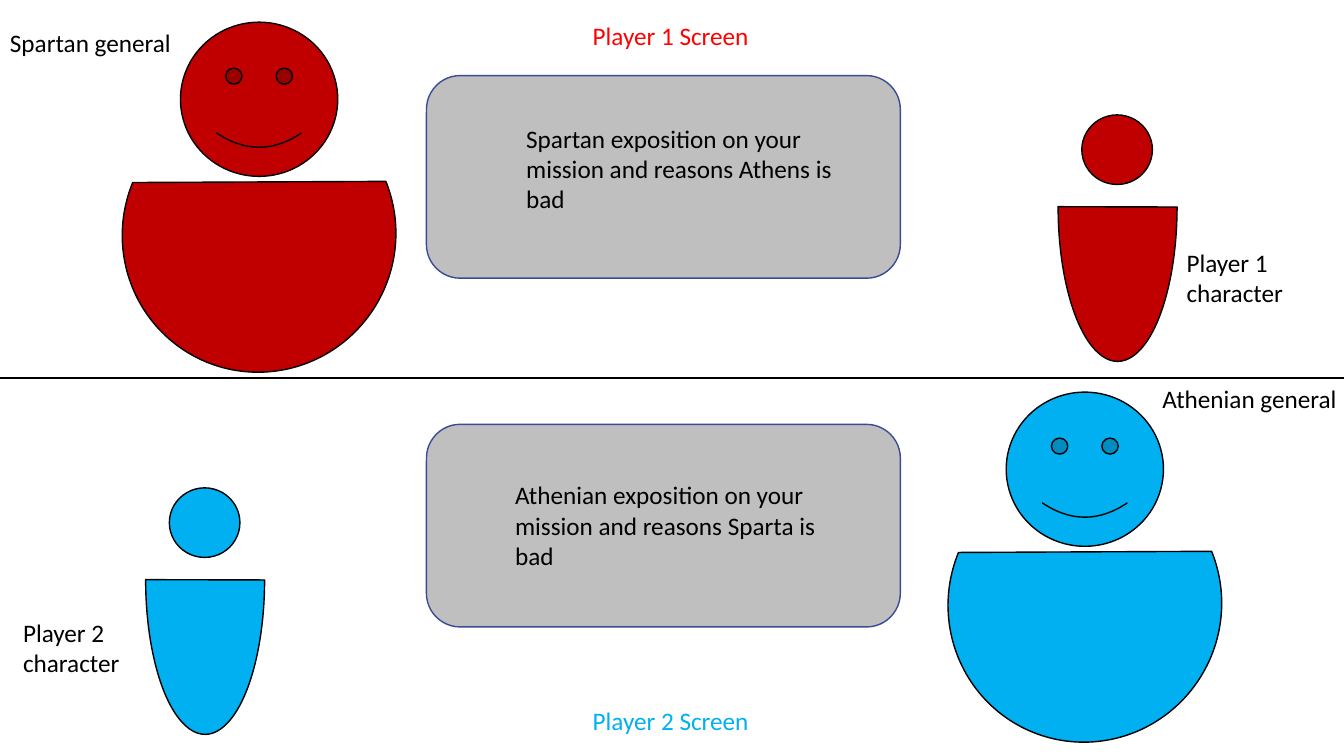
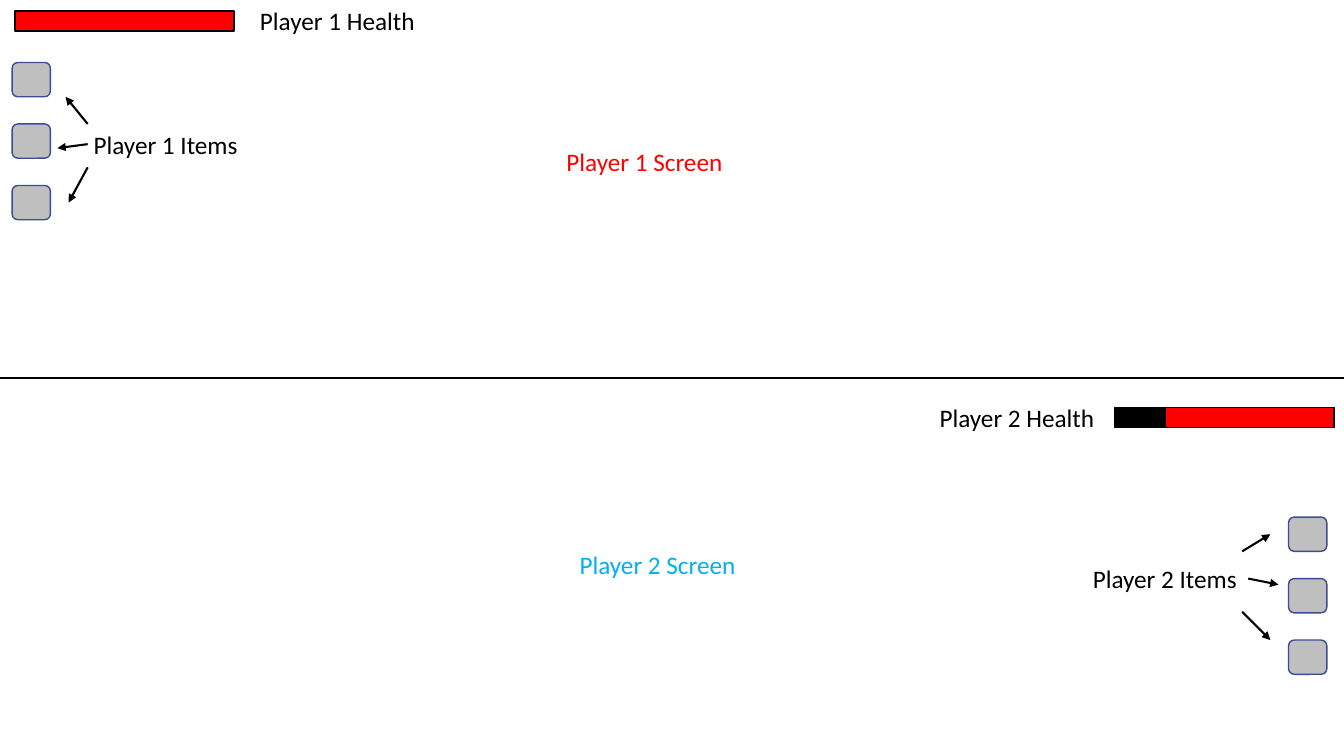
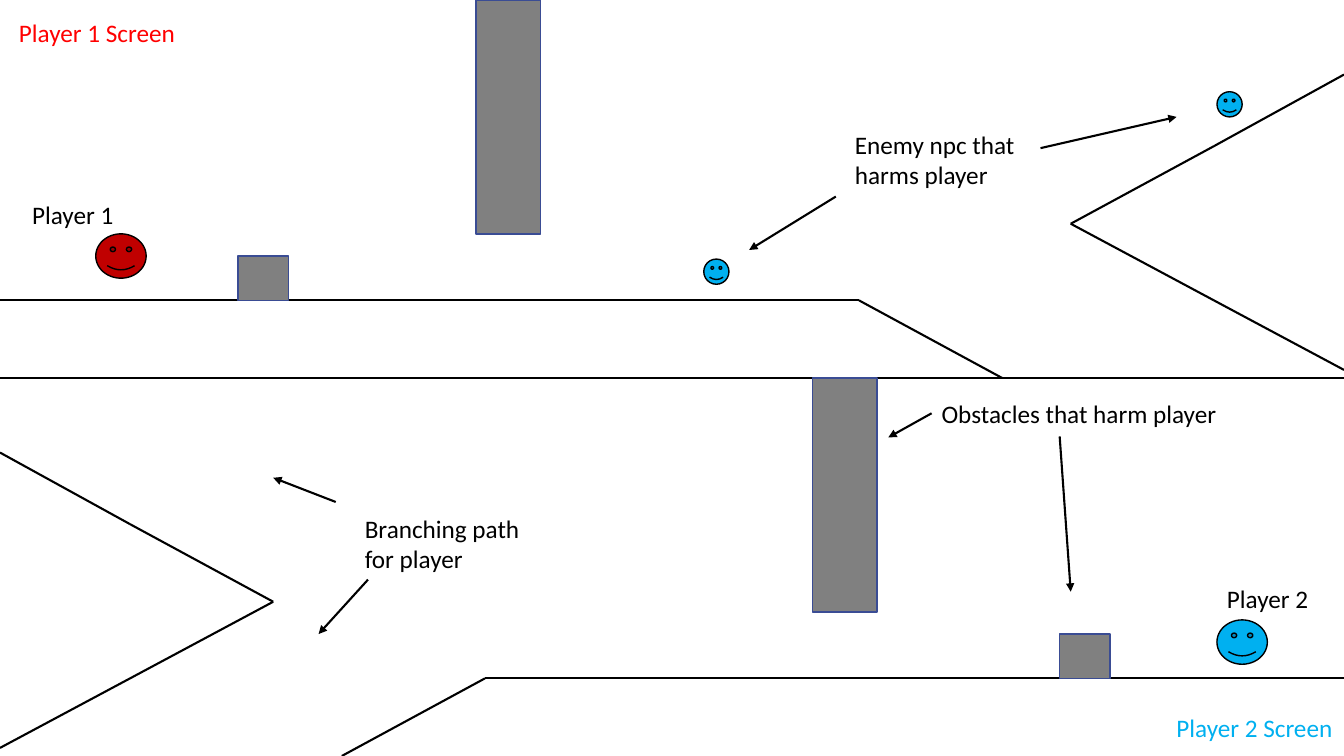
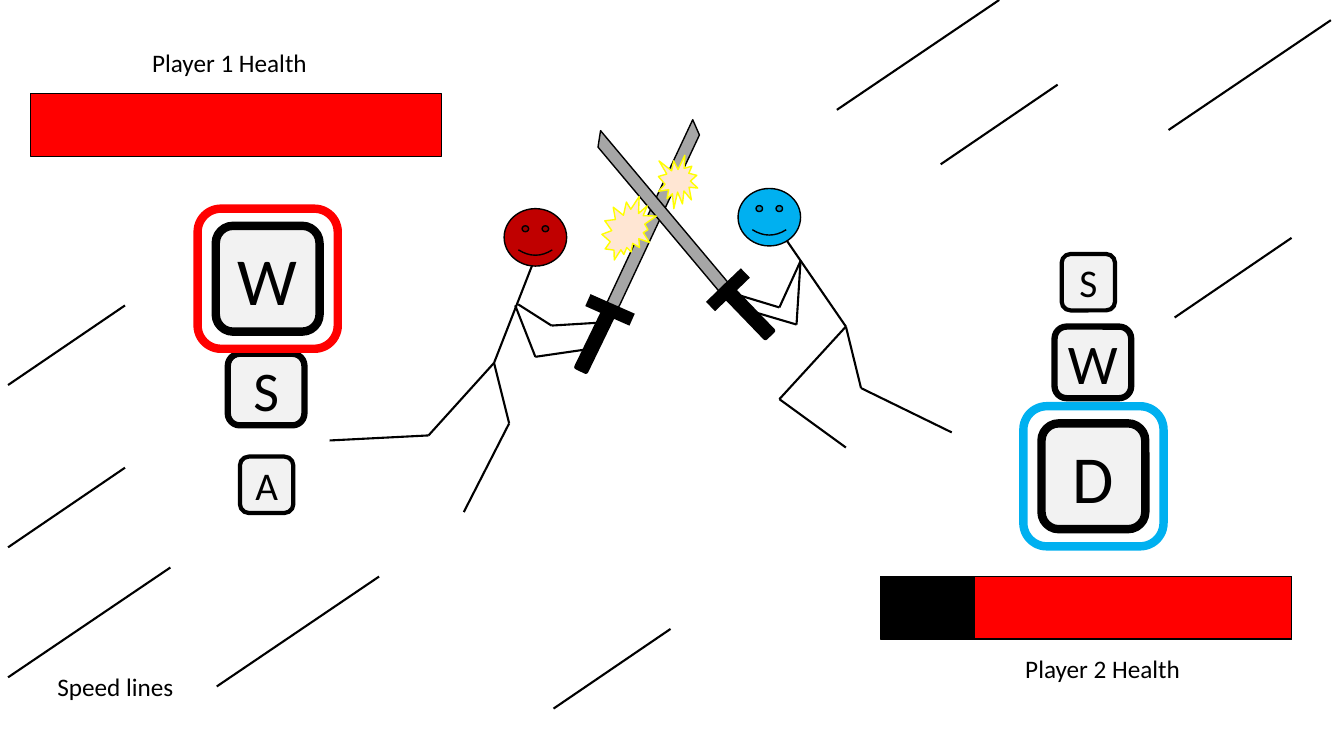
from itertools import pairwise

from pptx import Presentation
from pptx.dml.color import RGBColor
from pptx.enum.shapes import MSO_CONNECTOR, MSO_SHAPE
from pptx.enum.text import MSO_ANCHOR, MSO_AUTO_SIZE, PP_ALIGN
from pptx.oxml.ns import qn
from pptx.oxml.xmlchemy import OxmlElement
from pptx.util import Emu, Pt

PX = 9144  # 100 px to the inch
W, H = 1333, 750
MID = H // 2

COLORS = {
    "black": "000000",
    "red": "FF0000",
    "spartan": "C00000",
    "blue": "00B0F0",
    "panel": "BFBFBF",
    "obstacle": "808080",
    "blade": "A6A6A6",
    "key": "F2F2F2",
    "spark": "FFE6D3",
    "yellow": "FFFF00",
    "navy": "3A4C94",
}
# width, height, outline and letter size of a key
KEY_SIZES = {
    "big": (103, 105, 6, 48),
    "mid": (76, 71, 4.5, 40),
    "small": (53, 56, 3, 28),
}


def px(*values):
    return [Emu(v * PX) for v in values]


def rgb(name):
    return RGBColor.from_string(COLORS[name])


def write(sp, text, size=18, color="black", align=PP_ALIGN.LEFT, **frame):
    tf = sp.text_frame
    for name, value in frame.items():
        setattr(tf, name, value)
    p = tf.paragraphs[0]
    p.alignment = align
    r = p.add_run()
    r.text = text
    r.font.color.rgb = rgb(color)
    for name, value in {"name": "Calibri", "size": Pt(size)}.items():
        setattr(r.font, name, value)


def label(s, text, x, y, w, h=40, color="black"):
    """Place a text box; one taller than a single line wraps."""
    tb = s.shapes.add_textbox(*px(x, y, w, h))
    write(tb, text, color=color, word_wrap=h > 40,
          auto_size=MSO_AUTO_SIZE.SHAPE_TO_FIT_TEXT)
    return tb


def shape(s, kind, box, fill, line="black", width=1, rot=0, adj=()):
    """Add a preset shape; None for fill or line leaves it out."""
    sp = s.shapes.add_shape(kind, *px(*box))
    sp.shadow.inherit = False
    sp.rotation = rot
    for i, value in enumerate(adj):
        sp.adjustments[i] = value
    for target, color in ((sp.fill, fill), (sp.line.fill, line)):
        if color:
            target.solid()
            target.fore_color.rgb = rgb(color)
        else:
            target.background()
    if line:
        sp.line.width = Pt(width)
    return sp


def segment(s, start, end):
    c = s.shapes.add_connector(MSO_CONNECTOR.STRAIGHT, *px(*start, *end))
    c.line.color.rgb = rgb("black")
    c.line.width = Pt(1.5)
    c._element.spPr.append(OxmlElement("a:effectLst"))
    return c


def arrow(s, start, end):
    c = segment(s, start, end)
    tail = OxmlElement("a:tailEnd")
    tail.set("type", "triangle")
    c.line._get_or_add_ln().append(tail)
    return c


def chain(s, *points):
    for start, end in pairwise(points):
        segment(s, start, end)


def face(s, x, y, w, h, color):
    shape(s, MSO_SHAPE.SMILEY_FACE, (x, y, w, h), color)


def general(s, x, y, color):
    shape(s, MSO_SHAPE.CHORD, (x, y, 274, 271), color, rot=292.3)
    face(s, x + 59, y - 75, 156, 153, color)


def character(s, x, y, color):
    shape(s, MSO_SHAPE.CHORD, (x, y, 307, 118), color, rot=270, adj=(54.188, 162))
    shape(s, MSO_SHAPE.OVAL, (x + 118, y - 32, 70, 69), color)


def panel(s, x, y, w, h):
    shape(s, MSO_SHAPE.ROUNDED_RECTANGLE, (x, y, w, h), "panel", "navy")


def health_bar(s, x, y, w, h, lost=0):
    if lost:
        shape(s, MSO_SHAPE.RECTANGLE, (x, y, w, h), "black")
    shape(s, MSO_SHAPE.RECTANGLE, (x + lost, y, w - lost, h), "red")


def key(s, letter, size, x, y):
    w, h, width, pt = KEY_SIZES[size]
    sp = shape(s, MSO_SHAPE.ROUNDED_RECTANGLE, (x, y, w, h), "key", width=width)
    write(sp, letter, pt, align=PP_ALIGN.CENTER, vertical_anchor=MSO_ANCHOR.MIDDLE)


def key_column(s, keys, color):
    """Draw the keys, the big one first, and ring the big one."""
    for args in keys:
        key(s, *args)
    x, y = keys[0][2:]
    shape(s, MSO_SHAPE.ROUNDED_RECTANGLE, (x - 18, y - 17, 139, 139), None, color, 6)


def screen_labels(s, first, second):
    label(s, "Player 1 Screen", *first, 177, color="red")
    label(s, "Player 2 Screen", *second, 177, color="blue")


def new_slide(prs, split=True):
    s = prs.slides.add_slide(prs.slide_layouts[6])
    if split:
        segment(s, (0, MID), (W, MID))
    return s


def exposition_slide(prs):
    s = new_slide(prs)
    screen_labels(s, (578, 15), (578, 695))
    general(s, 120, 97, "spartan")
    general(s, 939, 464, "blue")
    label(s, "Spartan general", 0, 22, 182)
    label(s, "Athenian general", 1143, 375, 195)
    for y in (75, 421):
        panel(s, 423, y, 470, 201)
    label(s, "Spartan exposition on your mission and reasons Athens is bad",
          512, 117, 332, 101)
    label(s, "Athenian exposition on your mission and reasons Sparta is bad",
          501, 471, 332, 101)
    character(s, 955, 146, "spartan")
    character(s, 50, 516, "blue")
    label(s, "Player 2 character", 13, 607, 119, 71)
    label(s, "Player 1 character", 1167, 240, 170, 71)


def items_slide(prs):
    s = new_slide(prs)
    health_bar(s, 15, 11, 217, 20)
    health_bar(s, 1106, 404, 217, 20, lost=50)
    screen_labels(s, (552, 140), (565, 540))
    label(s, "Player 1 Health", 248, 0, 175)
    label(s, "Player 2 Health", 922, 394, 175)
    for x, top in ((12, 62), (1278, 513)):
        for i in range(3):
            panel(s, x, top + 61 * i, 38, 34)
    label(s, "Player 1 Items", 83, 123, 164)
    label(s, "Player 2 Items", 1074, 554, 164)
    for start, end in (
        ((87, 123), (65, 96)), ((87, 143), (57, 147)), ((87, 166), (68, 201)),
        ((1232, 547), (1260, 530)), ((1238, 574), (1268, 580)),
        ((1232, 607), (1260, 635)),
    ):
        arrow(s, start, end)


def level_slide(prs):
    s = new_slide(prs)
    screen_labels(s, (9, 12), (1157, 702))
    ground = [(0, 298), (852, 298), (994, 375)]
    branch = [(1333, 74), (1204, 145), (1062, 222), (1204, 298), (1333, 367)]
    for path in (ground, branch):
        chain(s, *path)
        chain(s, *((W - x, y + MID) for x, y in path))
    for x, y, w, h in ((236, 254, 50, 44), (472, 0, 64, 232),
                       (806, 375, 64, 232), (1051, 629, 50, 44)):
        shape(s, MSO_SHAPE.RECTANGLE, (x, y, w, h), "obstacle", "navy")
    face(s, 95, 232, 50, 44, "spartan")
    face(s, 1207, 615, 50, 44, "blue")
    for x, y in ((698, 257), (1207, 91)):
        face(s, x, y, 25, 25, "blue")
    label(s, "Player 1", 22, 193, 102)
    label(s, "Player 2", 1207, 574, 102)
    label(s, "Branching path for player", 352, 504, 174, 71)
    label(s, "Enemy npc that harms player", 838, 123, 199, 71)
    obstacles = label(s, "Obstacles that harm player", 924, 390, 296)
    arrow(s, (924, 410), (881, 434)).begin_connect(obstacles, 1)
    for start, end in (
        ((1051, 433), (1062, 587)),
        ((333, 498), (271, 474)), ((365, 575), (316, 629)),
        ((829, 195), (743, 248)), ((1032, 147), (1167, 116)),
    ):
        arrow(s, start, end)


def swords(s):
    stripe = {"fill": "blade", "adj": (0.882,)}
    blade = shape(s, MSO_SHAPE.DIAGONAL_STRIPE, (572, 135, 140, 160), rot=66.3, **stripe)
    blade._element.spPr.find(qn("a:xfrm")).set("flipH", "1")
    shape(s, MSO_SHAPE.DIAGONAL_STRIPE, (594, 131, 140, 160), rot=278.8, **stripe)
    for x, y, rot in ((581, 301, 23.9), (698, 281, 316.1)):
        shape(s, MSO_SHAPE.RECTANGLE, (x, y, 48, 13), "black", None, rot=rot)
    for x, y, rot in ((583, 303, 25.9), (733, 274, 316)):
        shape(s, MSO_SHAPE.ROUNDED_RECTANGLE, (x, y, 15, 69), "black", None, rot=rot)
    shape(s, MSO_SHAPE.EXPLOSION1, (653, 154, 39, 53), "spark", "yellow")
    shape(s, MSO_SHAPE.EXPLOSION2, (597, 195, 54, 63), "spark", "yellow")


def duel_slide(prs):
    s = new_slide(prs, split=False)
    health_bar(s, 30, 93, 408, 62)
    health_bar(s, 873, 572, 408, 62, lost=93)
    label(s, "Player 1 Health", 141, 42, 175)
    label(s, "Player 2 Health", 1007, 643, 175)
    label(s, "Speed lines", 47, 661, 137)

    for limb in (
        [(839, 324), (773, 396), (839, 444)],
        [(839, 324), (854, 385), (944, 429)],
        [(839, 324), (773, 228)],
        [(794, 259), (773, 305), (730, 292)],
        [(794, 259), (790, 322), (746, 309)],
        [(490, 360), (425, 432), (327, 437)],
        [(490, 360), (505, 420), (460, 508)],
        [(490, 360), (531, 255)],
        [(514, 302), (547, 323), (596, 320)],
        [(511, 303), (531, 354), (586, 346)],
    ):
        chain(s, *limb)
    face(s, 732, 187, 62, 57, "blue")
    face(s, 500, 207, 62, 57, "spartan")

    short = [(124, 303), (665, 624), (124, 464), (1049, 84), (1281, 236)]
    long = [(169, 563), (376, 572), (991, 0), (1320, 20)]
    for starts, dx, dy in ((short, 116, 79), (long, 161, 109)):
        for x, y in starts:
            segment(s, (x, y), (x - dx, y + dy))

    swords(s)
    key_column(s, [("W", "big", 214, 224), ("S", "mid", 226, 351),
                   ("A", "small", 238, 453)], "red")
    key_column(s, [("D", "big", 1033, 420), ("W", "mid", 1046, 324),
                   ("S", "small", 1053, 252)], "blue")


def main():
    prs = Presentation()
    prs.slide_width, prs.slide_height = px(W, H)
    for build in (exposition_slide, items_slide, level_slide, duel_slide):
        build(prs)
    prs.save("out.pptx")


if __name__ == "__main__":
    main()
